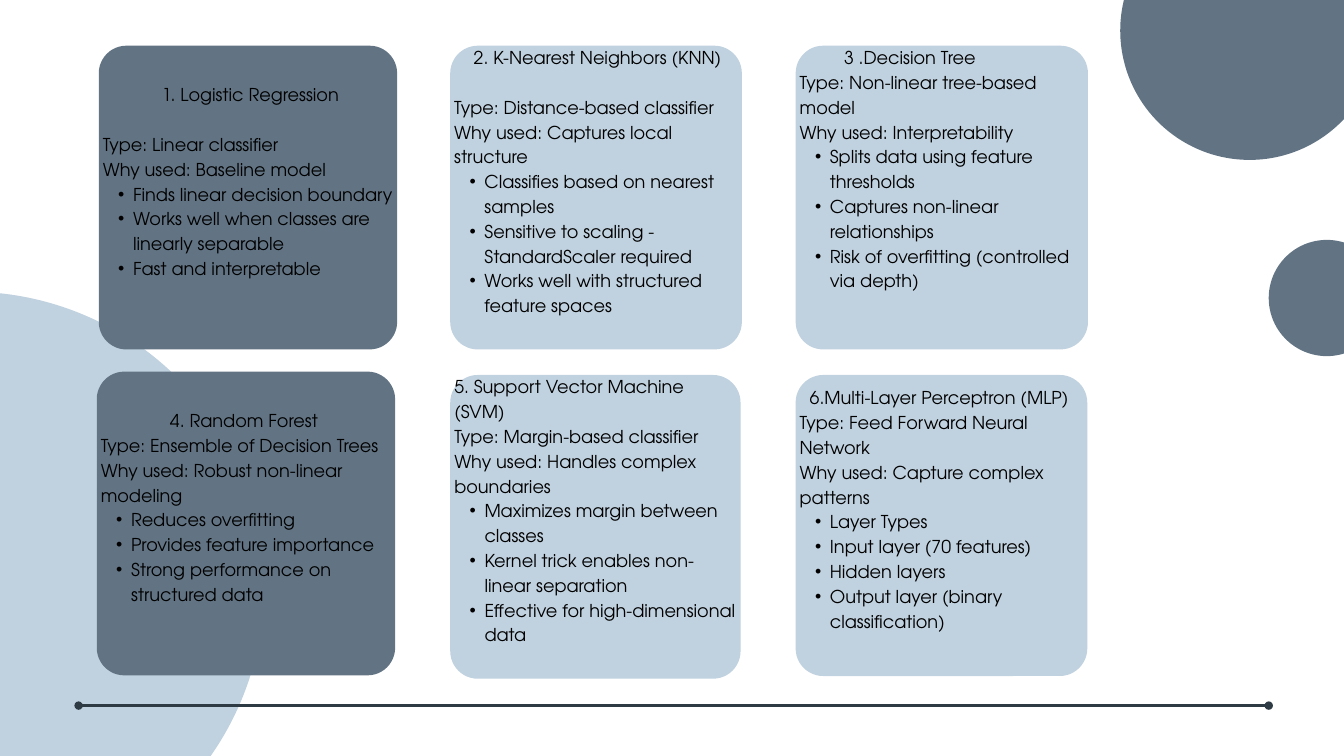
from lxml.etree import SubElement
from pptx import Presentation
from pptx.dml.color import RGBColor
from pptx.enum.shapes import MSO_CONNECTOR, MSO_SHAPE
from pptx.enum.text import MSO_ANCHOR, PP_ALIGN
from pptx.oxml.ns import qn
from pptx.util import Inches, Pt

COLORS = {"slate": "627484", "pale": "C0D1DF", "line": "2E3A44", "text": "000000"}
LINE_PT = 26.6
LINE_IN = LINE_PT / 72
INSET = 0.06
RADIUS = 0.41
RISE = 0.16  # the text area starts this far above its card


def rgb(name):
    return RGBColor.from_string(COLORS[name])


class SlideBuilder:
    font = {"name": "TeX Gyre Adventor", "size": Pt(19)}

    def __init__(self, slide):
        self.s = slide

    def shape(self, kind, color, *box):
        sp = self.s.shapes.add_shape(kind, *map(Inches, box))
        sp.shadow.inherit = False
        sp.fill.solid()
        sp.fill.fore_color.rgb = rgb(color)
        sp.line.fill.background()
        return sp

    def circle(self, color, x, y, d):
        self.shape(MSO_SHAPE.OVAL, color, x, y, d, d)

    def dotted_line(self, x1, x2, y):
        ln = self.s.shapes.add_connector(
            MSO_CONNECTOR.STRAIGHT, Inches(x1), Inches(y), Inches(x2), Inches(y))
        ln.line.color.rgb = rgb("line")
        ln.line.width = Pt(3)
        for end in ("a:headEnd", "a:tailEnd"):
            SubElement(ln.line._get_or_add_ln(), qn(end), type="oval")
        SubElement(ln._element.spPr, qn("a:effectLst"))

    def paragraph(self, p, text, indent=0, bullet=False, after=0):
        fmt = {"alignment": PP_ALIGN.LEFT, "line_spacing": Pt(LINE_PT),
               "space_after": Pt(after)}
        pPr = p._p.get_or_add_pPr()
        pPr.set("marL", str(Inches(indent)))
        pPr.set("indent", str(Inches(-0.22 if bullet else 0)))
        if bullet:
            SubElement(pPr, qn("a:buFont"), typeface="Arial")
            SubElement(pPr, qn("a:buChar"), char="•")
        for key, value in fmt.items():
            setattr(p, key, value)
        r = p.add_run()
        r.text = text
        for key, value in self.font.items():
            setattr(r.font, key, value)
        r.font.color.rgb = rgb("text")

    def card(self, color, box, title, indent, gap, spare, facts, bullets):
        """Rounded card; spare is the number of lines kept free at the bottom."""
        x, y, w, h = box
        sp = self.shape(MSO_SHAPE.ROUNDED_RECTANGLE, color, *box)
        sp.adjustments[0] = RADIUS / min(w, h)
        tb = self.s.shapes.add_textbox(*map(Inches, (x, y - RISE, w, h + RISE)))
        tf = tb.text_frame
        fmt = {"word_wrap": True, "vertical_anchor": MSO_ANCHOR.MIDDLE,
               "margin_left": Inches(INSET), "margin_right": Inches(INSET),
               "margin_top": Inches(INSET),
               "margin_bottom": Inches(INSET + spare * LINE_IN)}
        for key, value in fmt.items():
            setattr(tf, key, value)
        self.paragraph(tf.paragraphs[0], title, indent, after=gap * LINE_PT)
        for text in facts:
            self.paragraph(tf.add_paragraph(), text)
        for text in bullets:
            self.paragraph(tf.add_paragraph(), text, 0.45, bullet=True)


# Colour, box, title, title indent, lines after title, spare lines, facts, bullets
CARDS = [
    ("slate", (1.47, 0.68, 4.44, 4.52), "1. Logistic Regression", 0.88, 1, 1,
     ["Type: Linear classifier", "Why used: Baseline model"],
     ["Finds linear decision boundary",
      "Works well when classes are linearly separable",
      "Fast and interpretable"]),
    ("pale", (6.7, 0.68, 4.34, 4.52), "2. K-Nearest Neighbors (KNN)", 0.29, 1, 1,
     ["Type: Distance-based classifier", "Why used: Captures local structure"],
     ["Classifies based on nearest samples",
      "Sensitive to scaling - StandardScaler required",
      "Works well with structured feature spaces"]),
    ("pale", (11.84, 0.68, 4.35, 4.52), "3 .Decision Tree", 0.66, 0, 2,
     ["Type: Non-linear tree-based model", "Why used: Interpretability"],
     ["Splits data using feature thresholds",
      "Captures non-linear relationships",
      "Risk of overfitting (controlled via depth)"]),
    ("slate", (1.44, 5.53, 4.44, 4.52), "4. Random Forest", 1.03, 0, 1,
     ["Type: Ensemble of Decision Trees", "Why used: Robust non-linear modeling"],
     ["Reduces overfitting",
      "Provides feature importance",
      "Strong performance on structured data"]),
    ("pale", (6.7, 5.58, 4.32, 4.52), "5. Support Vector Machine (SVM)", 0, 0, 1,
     ["Type: Margin-based classifier", "Why used: Handles complex boundaries"],
     ["Maximizes margin between classes",
      "Kernel trick enables non-linear separation",
      "Effective for high-dimensional data"]),
    ("pale", (11.84, 5.58, 4.34, 4.48), "6.Multi-Layer Perceptron (MLP)", 0.15, 0, 1,
     ["Type: Feed Forward Neural Network", "Why used: Capture complex patterns"],
     ["Layer Types", "Input layer (70 features)", "Hidden layers",
      "Output layer (binary classification)"]),
]


def main():
    prs = Presentation()
    prs.slide_width, prs.slide_height = Inches(20), Inches(11.25)
    b = SlideBuilder(prs.slides.add_slide(prs.slide_layouts[6]))

    # Background circles and base line
    b.circle("slate", 16.67, -1.47, 3.85)
    b.circle("pale", -4.85, 4.34, 8.78)
    b.dotted_line(1.17, 18.88, 10.5)
    b.circle("slate", 18.88, 3.57, 1.73)

    # Model cards
    for card in CARDS:
        b.card(*card)

    prs.save("out.pptx")


if __name__ == "__main__":
    main()
